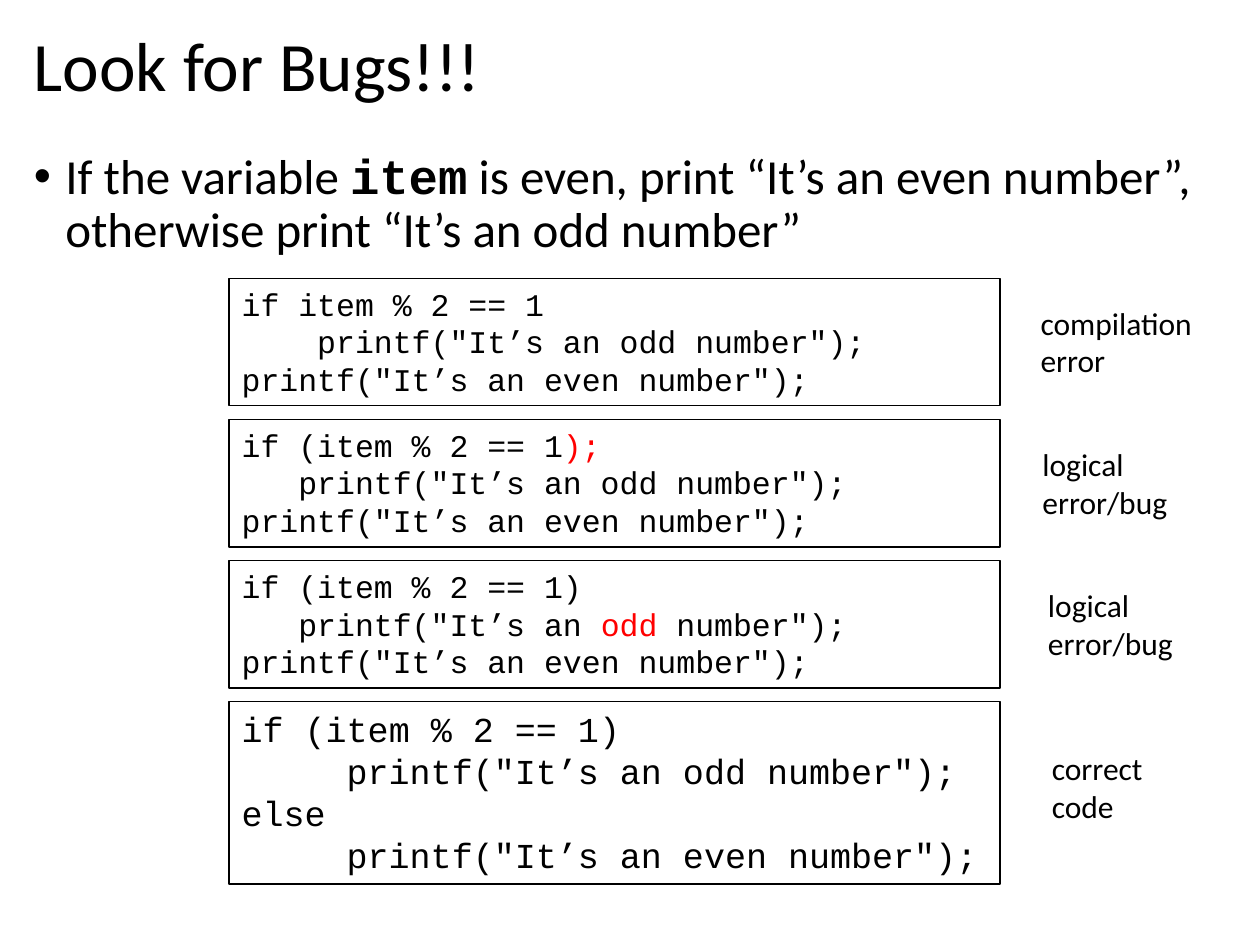
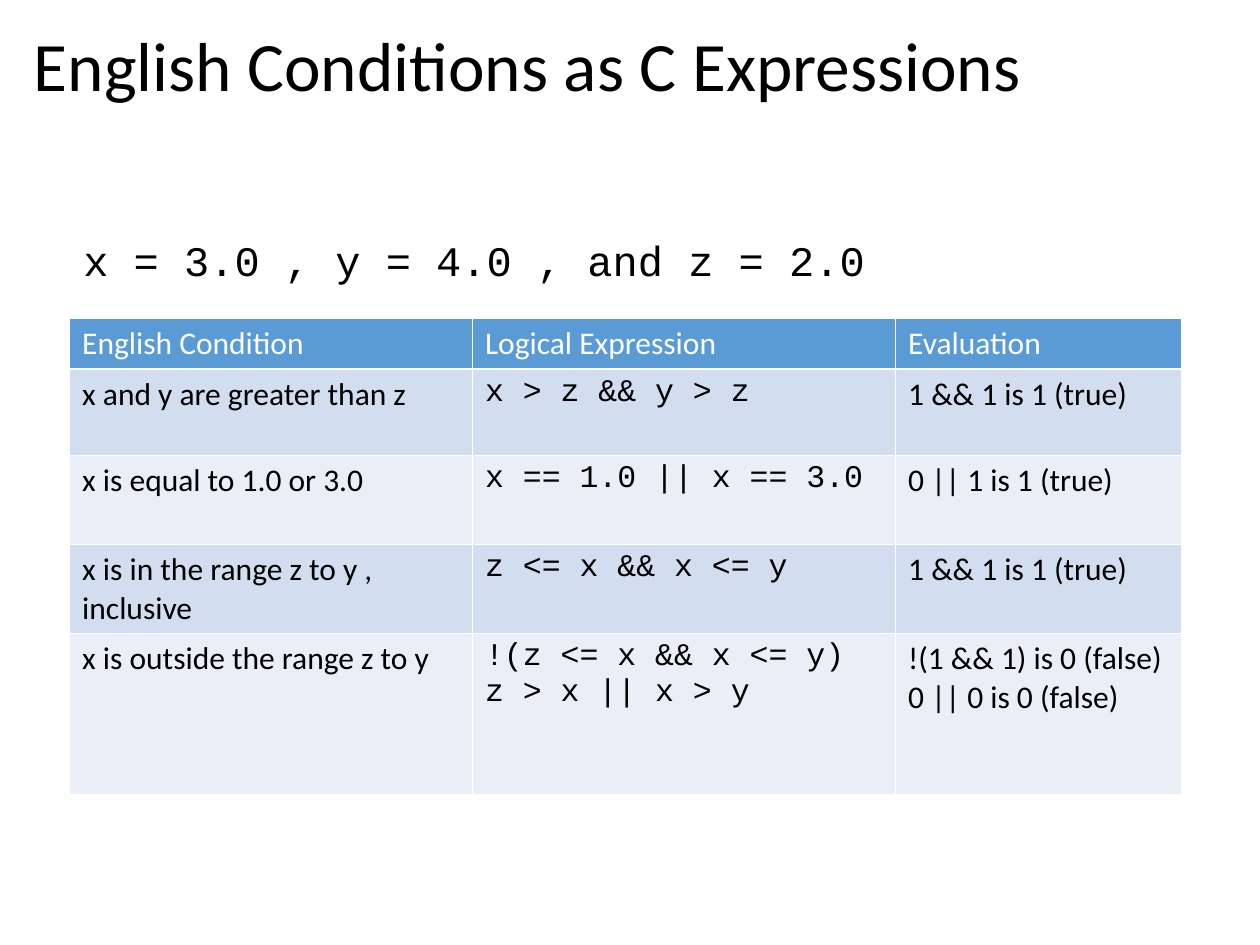
"""Build two lecture slides on conditions in C."""
import pptx
import pptx.dml.color
import pptx.enum.shapes
import pptx.enum.text
import pptx.oxml
import pptx.oxml.ns
import pptx.util
from lxml import etree

Pt = pptx.util.Pt
RGB = pptx.dml.color.RGBColor
ANCHOR = pptx.enum.text.MSO_ANCHOR

BLACK = RGB(0x00, 0x00, 0x00)
WHITE = RGB(0xFF, 0xFF, 0xFF)
RED = RGB(0xFF, 0x00, 0x00)
HEADER_BLUE = RGB(0x5B, 0x9B, 0xD5)
BANDS = [RGB(0xD2, 0xDE, 0xEF), RGB(0xEA, 0xEF, 0xF7)]
SANS, MONO = "Calibri", "Courier New"

BUGS_TITLE = "Look for Bugs!!!"
TASK = [(0, "If the variable ", ("item", {"font": MONO, "bold": True}),
         " is even, print “It’s an even number”, otherwise print “It’s an odd number”")]
ODD, EVEN = 'printf("It’s an odd number");', 'printf("It’s an even number");'
SNIPPETS = [
    {"code": [(0, "if item % 2 == 1"), (4, ODD), (0, EVEN)],
     "size": 18, "height": 72.7,
     "verdict": ["compilation", "error"], "left": 587.5, "width": 102.2, "lift": 0},
    {"code": [(0, "if (item % 2 == 1", (");", {"color": RED})), (3, ODD), (0, EVEN)],
     "size": 18, "height": 72.7,
     "verdict": ["logical", "error/bug"], "left": 588.6, "width": 86.4, "lift": 0},
    {"code": [(0, "if (item % 2 == 1)"),
              (3, 'printf("It’s an ', ("odd", {"color": RED}), ' number");'), (0, EVEN)],
     "size": 18, "height": 72.7,
     "verdict": ["logical", "error/bug"], "left": 591.8, "width": 86.4, "lift": 0},
    {"code": [(0, "if (item % 2 == 1)"), (5, ODD), (0, "else"), (5, EVEN)],
     "size": 20, "height": 104.4,
     "verdict": ["correct", "code"], "left": 594, "width": 67, "lift": 2.9},
]

CONDITIONS_TITLE = "English Conditions as C Expressions"
VALUES = "x = 3.0 , y = 4.0 , and z = 2.0"
CONDITIONS = [
    (["English Condition"], ["Logical Expression"], ["Evaluation"]),
    (["x and y are greater than z"], ["x > z && y > z"], ["1 && 1 is 1 (true)"]),
    (["x is equal to 1.0 or 3.0"], ["x == 1.0 || x == 3.0"], ["0 || 1 is 1 (true)"]),
    (["x is in the range z to y , inclusive"], ["z <= x && x <= y"], ["1 && 1 is 1 (true)"]),
    (["x is outside the range z to y"], ["!(z <= x && x <= y)", "z > x || x > y"],
     ["!(1 && 1) is 0 (false)", "0 || 0 is 0 (false)"]),
]
COLUMN_WIDTHS = [230.2, 241.8, 163.3]
ROW_HEIGHTS = [29.2, 49.4, 50.9, 50.9, 92]

TEXT_LEFT, TEXT_WIDTH = 12.25, 692.6
CODE_LEFT, CODE_TOP, CODE_WIDTH, CODE_GAP = 131, 159.1, 440.6, 7.9
VERDICT_HEIGHT = 50.9
MONO_ADVANCE = 0.6


def write(tf, lines, size=18, font=SANS, color=BLACK, bold=False,
          spacing=None, before=None, bullet=None, hang=18):
    """Fill a text frame; a line is a string or (indent in characters, run, ...)."""
    for i, line in enumerate(lines):
        indent, *runs = (0, line) if isinstance(line, str) else line
        p = tf.paragraphs[0] if i == 0 else tf.add_paragraph()
        p.alignment = pptx.enum.text.PP_ALIGN.LEFT
        if spacing:
            p.line_spacing = spacing
        if before:
            p.space_before = Pt(before)
        pPr = p._p.get_or_add_pPr()
        if indent:
            pPr.set("marL", str(Pt(indent * size * MONO_ADVANCE)))
        if bullet:
            pPr.set("marL", str(Pt(hang)))
            pPr.set("indent", str(-Pt(hang)))
            etree.SubElement(pPr, pptx.oxml.ns.qn("a:buFont")).set("typeface", "Arial")
            etree.SubElement(pPr, pptx.oxml.ns.qn("a:buChar")).set("char", bullet)
        for run in runs:
            text, own = (run, {}) if isinstance(run, str) else run
            r = p.add_run()
            r.text = text
            r.font.size = Pt(size)
            r.font.name = own.get("font", font)
            r.font.bold = own.get("bold", bold)
            r.font.color.rgb = own.get("color", color)


def add_text(s, box, lines, wrap=True, anchor=ANCHOR.TOP, **fmt):
    """Add a text box at (left, top, width, height) in points."""
    tf = s.shapes.add_textbox(*map(Pt, box)).text_frame
    tf.word_wrap = wrap
    tf.vertical_anchor = anchor
    write(tf, lines, **fmt)


def add_titled_slide(prs, title):
    """Add a blank slide with the shared title."""
    s = prs.slides.add_slide(prs.slide_layouts[6])
    add_text(s, (TEXT_LEFT, 13, TEXT_WIDTH, 53.3), [title],
             anchor=ANCHOR.MIDDLE, size=39.6, spacing=0.9)
    return s


def add_code_box(s, top, snippet):
    """Add a bordered box of code."""
    sp = s.shapes.add_shape(pptx.enum.shapes.MSO_SHAPE.RECTANGLE, Pt(CODE_LEFT), Pt(top),
                            Pt(CODE_WIDTH), Pt(snippet["height"]))
    sp.shadow.inherit = False
    sp.fill.background()
    sp.line.color.rgb = BLACK
    sp.line.width = Pt(1)
    sp.text_frame.word_wrap = True
    sp.text_frame.vertical_anchor = ANCHOR.TOP
    write(sp.text_frame, snippet["code"], size=snippet["size"], font=MONO)


def style_cell(cell, fill):
    """Give a cell white borders and a solid fill."""
    tcPr = cell._tc.get_or_add_tcPr()
    for side in "LRTB":
        tcPr.append(pptx.oxml.parse_xml(
            f'<a:ln{side} {pptx.oxml.ns.nsdecls("a")} w="{Pt(1)}"><a:solidFill>'
            f'<a:srgbClr val="{WHITE}"/></a:solidFill></a:ln{side}>'))
    cell.fill.solid()
    cell.fill.fore_color.rgb = fill


def build_bugs(prs):
    """Build the slide of code snippets and verdicts."""
    s = add_titled_slide(prs, BUGS_TITLE)
    add_text(s, (TEXT_LEFT, 83.5, TEXT_WIDTH, 402.5), TASK,
             size=28, spacing=0.9, before=10, bullet="•")
    top = CODE_TOP
    for snippet in SNIPPETS:
        add_code_box(s, top, snippet)
        verdict_top = top + (snippet["height"] - VERDICT_HEIGHT) / 2 - snippet["lift"]
        add_text(s, (snippet["left"], verdict_top, snippet["width"], VERDICT_HEIGHT),
                 snippet["verdict"], wrap=False)
        top += snippet["height"] + CODE_GAP


def build_conditions(prs):
    """Build the slide with the table of conditions."""
    s = add_titled_slide(prs, CONDITIONS_TITLE)
    add_text(s, (40.5, 130.3, 464.4, 36), [VALUES], wrap=False, size=24, font=MONO)
    table = s.shapes.add_table(len(CONDITIONS), len(COLUMN_WIDTHS), Pt(39.8), Pt(181.6),
                               Pt(sum(COLUMN_WIDTHS)), Pt(sum(ROW_HEIGHTS))).table
    for column, width in zip(table.columns, COLUMN_WIDTHS):
        column.width = Pt(width)
    for i, (row, height) in enumerate(zip(CONDITIONS, ROW_HEIGHTS)):
        table.rows[i].height = Pt(height)
        for j, lines in enumerate(row):
            cell = table.cell(i, j)
            style_cell(cell, BANDS[(i - 1) % 2] if i else HEADER_BLUE)
            write(cell.text_frame, lines, font=MONO if i and j == 1 else SANS,
                  color=BLACK if i else WHITE)


def main():
    """Build and save the presentation."""
    prs = pptx.Presentation()
    prs.slide_width, prs.slide_height = Pt(720), Pt(540)
    build_bugs(prs)
    build_conditions(prs)
    prs.save("out.pptx")


if __name__ == "__main__":
    main()
